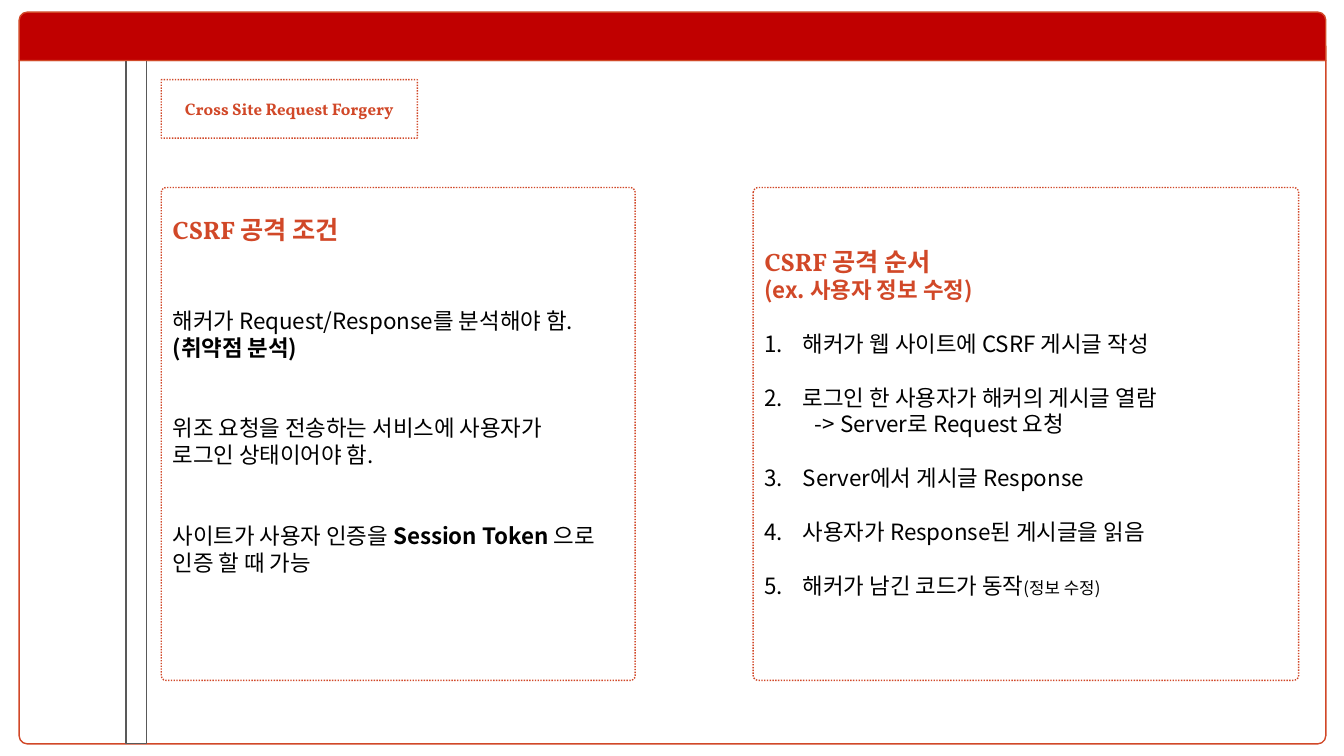
import pptx
import pptx.util
import pptx.dml.color
import pptx.enum.dml
import pptx.enum.shapes
import pptx.enum.text
import pptx.oxml.ns
from lxml import etree

Inches = pptx.util.Inches
Pt = pptx.util.Pt
SHAPES = pptx.enum.shapes.MSO_SHAPE
COLORS = {"accent": "D14828", "banner": "C00000", "white": "FFFFFF", "text": "000000", "rail": "595959"}
SERIF = "Vollkorn"
SANS = "Noto Sans CJK KR"


def add_box(kind, left, top, width, height, fill="white", line="accent", weight=1, dotted=False, adjustments=()):
    shape = slide.shapes.add_shape(kind, Inches(left), Inches(top), Inches(width), Inches(height))
    shape.shadow.inherit = False
    shape.fill.solid()
    shape.fill.fore_color.rgb = pptx.dml.color.RGBColor.from_string(COLORS[fill])
    shape.line.color.rgb = pptx.dml.color.RGBColor.from_string(COLORS[line])
    shape.line.width = Pt(weight)
    if dotted:
        shape.line.dash_style = pptx.enum.dml.MSO_LINE.ROUND_DOT
    for index, value in enumerate(adjustments):
        shape.adjustments[index] = value
    return shape


def add_text(paragraph, text, size=16, font=SANS, color="text", bold=False):
    run = paragraph.add_run()
    run.text = text
    run.font.size = Pt(size)
    run.font.bold = bold
    run.font.name = font
    run.font.color.rgb = pptx.dml.color.RGBColor.from_string(COLORS[color])
    east_asian = etree.SubElement(run.font._element, pptx.oxml.ns.qn("a:ea"))
    east_asian.set("typeface", SANS)


presentation = pptx.Presentation()
presentation.slide_width = Inches(13.33)
presentation.slide_height = Inches(7.5)
slide = presentation.slides.add_slide(presentation.slide_layouts[6])

add_box(SHAPES.ROUND_2_SAME_RECTANGLE, 0.19, 0.6, 12.96, 6.78, adjustments=(0, 0.012))
add_box(SHAPES.RECTANGLE, 1.25, 0.6, 0.2, 6.78, line="rail", weight=0.75)
add_box(SHAPES.ROUND_2_SAME_RECTANGLE, 0.19, 0.12, 12.96, 0.48, fill="banner")

topic = add_box(SHAPES.ROUNDED_RECTANGLE, 1.6, 0.79, 2.54, 0.58, dotted=True, adjustments=(0.01,))
topic.text_frame.vertical_anchor = pptx.enum.text.MSO_ANCHOR.MIDDLE
topic_paragraph = topic.text_frame.paragraphs[0]
topic_paragraph.alignment = pptx.enum.text.PP_ALIGN.CENTER
add_text(topic_paragraph, "Cross Site Request Forgery", size=12, font=SERIF, color="accent", bold=True)

LINE = 19.2
HEADING = {"size": 18, "font": SERIF, "color": "accent", "bold": True}
BOLD = {"bold": True}
conditions = [
    (0, None, [("CSRF 공격 조건", HEADING)]),
    (44.4, None, [("해커가 Request/Response를 분석해야 함.", {})]),
    (0, None, [("(취약점 분석)", BOLD)]),
    (2 * LINE, None, [("위조 요청을 전송하는 서비스에 사용자가", {})]),
    (0, None, [("로그인 상태이어야 함.", {})]),
    (2 * LINE, None, [("사이트가 사용자 인증을 ", {}), ("Session Token ", BOLD), ("으로 인증 할 때 가능", {})]),
]
steps = [
    (0, None, [("CSRF 공격 순서", HEADING)]),
    (0, None, [("(ex. 사용자 정보 수정)", {"color": "accent", "bold": True})]),
    (LINE, 1, [("해커가 웹 사이트에 CSRF 게시글 작성", {})]),
    (LINE, 2, [("로그인 한 사용자가 해커의 게시글 열람", {})]),
    (0, "indent", [("-> Server로 Request 요청", {})]),
    (LINE, 3, [("Server에서 게시글 Response", {})]),
    (LINE, 4, [("사용자가 Response된 게시글을 읽음", {})]),
    (LINE, 5, [("해커가 남긴 코드가 동작", {}), ("(정보 수정)", {"size": 12})]),
]

for left, width, inset, lines in ((1.6, 4.7, 0.29, conditions), (7.47, 5.41, 0.6, steps)):
    panel = add_box(SHAPES.ROUNDED_RECTANGLE, left, 1.86, width, 4.89, dotted=True, adjustments=(0.01,))
    frame = panel.text_frame
    frame.word_wrap = True
    frame.vertical_anchor = pptx.enum.text.MSO_ANCHOR.TOP
    frame.margin_top = Inches(inset)
    for index, (gap, marker, runs) in enumerate(lines):
        paragraph = frame.add_paragraph() if index else frame.paragraphs[0]
        paragraph.alignment = pptx.enum.text.PP_ALIGN.LEFT
        paragraph.line_spacing = Pt(LINE)
        paragraph.space_before = Pt(gap)
        for text, style in runs:
            add_text(paragraph, text, **style)
        if marker:
            properties = paragraph._p.get_or_add_pPr()
            properties.set("marL", str(Inches(0.5 if marker == "indent" else 0.38)))
            properties.set("indent", str(0 if marker == "indent" else Inches(-0.38)))
            if marker != "indent":
                numbering = etree.SubElement(properties, pptx.oxml.ns.qn("a:buAutoNum"))
                numbering.set("type", "arabicPeriod")
                numbering.set("startAt", str(marker))

presentation.save("out.pptx")
